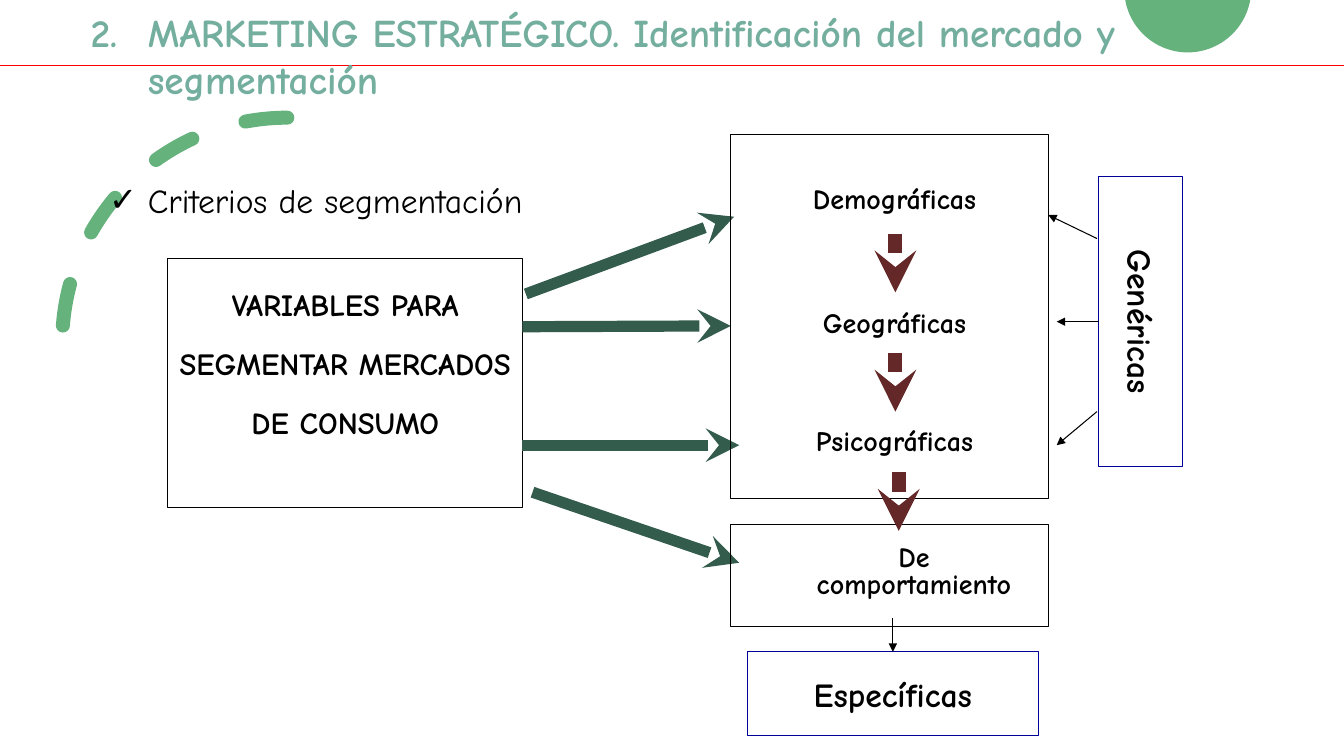
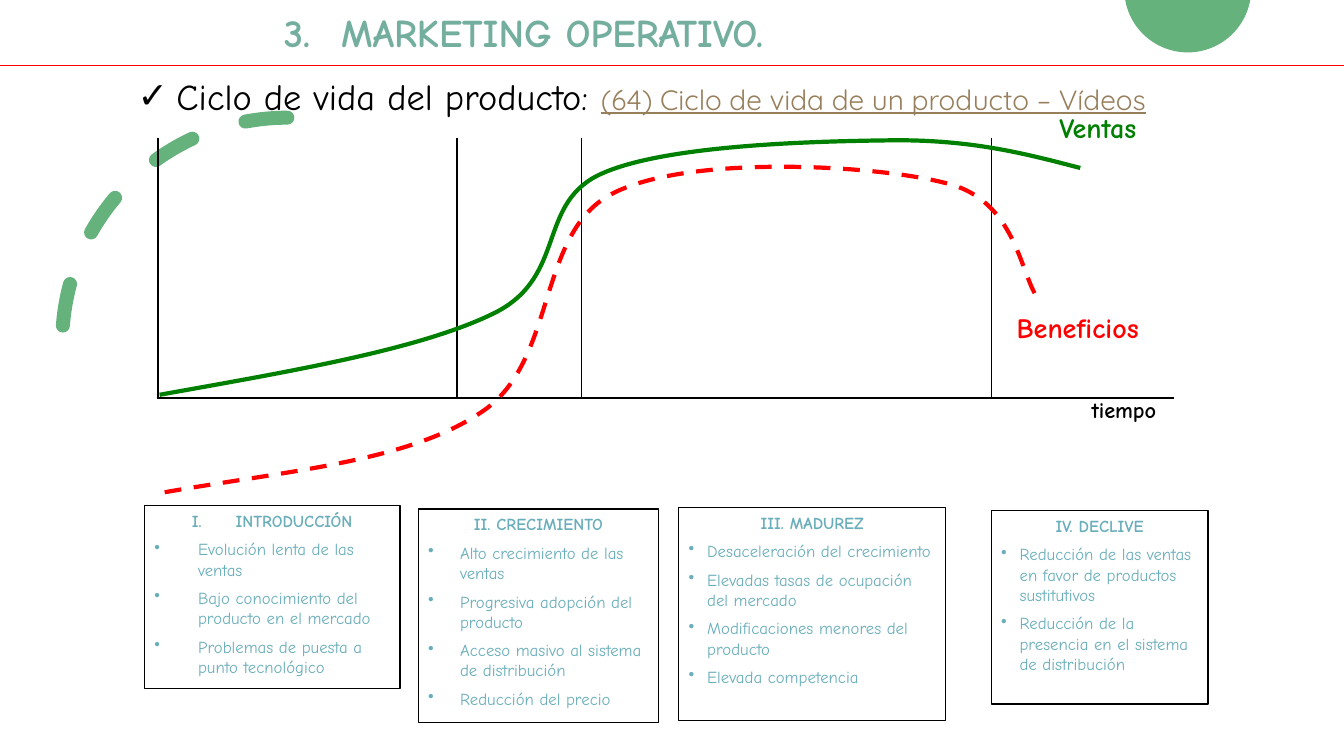
from math import atan2, cos, pi, sin

from pptx import Presentation
from pptx.dml.color import RGBColor
from pptx.enum.dml import MSO_LINE_DASH_STYLE as Dash
from pptx.enum.shapes import MSO_CONNECTOR, MSO_SHAPE
from pptx.enum.text import MSO_ANCHOR, MSO_AUTO_SIZE, PP_ALIGN
from pptx.oxml.ns import qn
from pptx.oxml.xmlchemy import OxmlElement
from pptx.util import Emu, Inches, Pt

# Every length is counted in cells of a square grid of 80 columns by 45 rows.
COLUMNS, ROWS = 80, 45
CELL = Inches(1) / 6

BLACK = RGBColor(0x00, 0x00, 0x00)
WHITE = RGBColor(0xFF, 0xFF, 0xFF)
RED = RGBColor(0xFF, 0x00, 0x00)
NAVY = RGBColor(0x00, 0x00, 0x99)
LEAF = RGBColor(0x65, 0xB2, 0x7D)
TITLE_GREEN = RGBColor(0x73, 0xAE, 0x9E)
ARROW_GREEN = RGBColor(0x33, 0x5C, 0x4D)
ARROW_BROWN = RGBColor(0x65, 0x28, 0x28)
SALES_GREEN = RGBColor(0x00, 0x80, 0x00)
STAGE_BLUE = RGBColor(0x69, 0xAE, 0xBA)
LINK_BROWN = RGBColor(0x98, 0x7F, 0x5C)

FONT = "Comic Neue"
LINK_FONT = "Quicksand"


def cells(count):
    return Emu(round(count * CELL))


def add_element(parent, tag, **attributes):
    element = OxmlElement(tag)
    for name, value in attributes.items():
        element.set(name, str(value))
    parent.append(element)
    return element


def add_run(paragraph, text, size, color, bold=False, font=FONT, underline=False):
    run = paragraph.add_run()
    run.text = text
    run.font.name = font
    run.font.size = Pt(size)
    run.font.bold = bold
    run.font.underline = underline
    run.font.color.rgb = color


def set_bullet(paragraph, margin, hang, tag, **attributes):
    properties = paragraph._p.get_or_add_pPr()
    properties.set("marL", str(cells(margin)))
    properties.set("indent", str(-cells(hang)))
    add_element(properties, tag, **attributes)


def set_frame(shape, anchor=MSO_ANCHOR.TOP):
    frame = shape.text_frame
    frame.word_wrap = True
    frame.auto_size = MSO_AUTO_SIZE.NONE
    frame.vertical_anchor = anchor
    return frame


def next_paragraph(frame, align=PP_ALIGN.LEFT, spacing=1.0, before=0):
    """Use the empty first paragraph of a frame, or add one below the others."""
    first = not frame.paragraphs[0].runs
    paragraph = frame.paragraphs[0] if first else frame.add_paragraph()
    paragraph.alignment = align
    paragraph.line_spacing = spacing
    paragraph.space_before = Pt(0 if first else before)
    return paragraph


def write_centred(shape, lines, size, color=BLACK, spacing=1.0, anchor=MSO_ANCHOR.TOP):
    frame = set_frame(shape, anchor)
    for line in lines:
        add_run(next_paragraph(frame, PP_ALIGN.CENTER, spacing), line, size, color, True)


def set_line(shape, color, width):
    shape.line.color.rgb = color
    shape.line.width = Pt(width)


def add_box(slide, area, line_color=BLACK, width=0.75, fill=None):
    box = slide.shapes.add_shape(MSO_SHAPE.RECTANGLE, *map(cells, area))
    box.shadow.inherit = False
    if fill is None:
        box.fill.background()
    else:
        box.fill.solid()
        box.fill.fore_color.rgb = fill
    set_line(box, line_color, width)
    return box


def add_label(slide, area, lines, size, color=BLACK, spacing=1.0):
    label = slide.shapes.add_textbox(*map(cells, area))
    write_centred(label, lines, size, color, spacing)


def add_line(slide, start, end, color, width, arrowhead=None):
    line = slide.shapes.add_connector(MSO_CONNECTOR.STRAIGHT, *map(cells, start + end))
    set_line(line, color, width)
    if arrowhead:
        add_element(line.line._get_or_add_ln(), "a:tailEnd", type=arrowhead)
    add_element(line._element.spPr, "a:effectLst")
    return line


def add_outline(slide, points, close):
    start, *others = [tuple(map(cells, point)) for point in points]
    builder = slide.shapes.build_freeform(*start)
    builder.add_line_segments(others, close=close)
    outline = builder.convert_to_shape()
    outline.shadow.inherit = False
    return outline


def add_curve(slide, points, color, dash=None):
    """Draw Bezier curves: a start, then two handles and an end for each piece."""
    curve = add_outline(slide, points, close=False)
    curve.fill.background()
    set_line(curve, color, 3)
    if dash:
        curve.line.dash_style = dash
    segments = list(curve._element.iter(qn("a:lnTo")))
    for first in range(0, len(segments), 3):
        bezier = OxmlElement("a:cubicBezTo")
        segments[first].addprevious(bezier)
        for segment in segments[first:first + 3]:
            bezier.append(segment[0])
            segment.getparent().remove(segment)


def add_half_disc(slide, centre, half_width, depth):
    """Draw the part of a disc that hangs below the top edge of the slide."""
    radius = (half_width ** 2 + depth ** 2) / (2 * depth)
    rise = radius - depth
    start = atan2(rise, half_width)
    angles = [start + (pi - 2 * start) * step / 60 for step in range(61)]
    points = [(centre + radius * cos(a), radius * sin(a) - rise) for a in angles]
    disc = add_outline(slide, points, close=True)
    disc.fill.solid()
    disc.fill.fore_color.rgb = LEAF
    disc.line.fill.background()
    return disc


def add_dashed_arc(slide, left, top, size):
    arc = slide.shapes.add_shape(MSO_SHAPE.ARC, *map(cells, (left, top, size, size)))
    arc.shadow.inherit = False
    arc.fill.background()
    set_line(arc, LEAF, 10)
    arc.line.dash_style = Dash.DASH
    arc.line._get_or_add_ln().set("cap", "rnd")
    arc.rotation = 180
    arc._element.spPr.xfrm.set("flipV", "1")
    return arc


def decorate_layout(layout, slide):
    """Draw the shared decoration on a slide, then move it to the layout."""
    decoration = [
        add_half_disc(slide, 70.7, 3.72, 3.12),
        add_dashed_arc(slide, 3.7, 7, 26.8),
        add_line(slide, (0, 3.9), (COLUMNS, 3.9), RED, 1.25),
    ]
    for number, shape in enumerate(decoration, start=100):
        shape._element.xpath(".//p:cNvPr")[0].set("id", str(number))
        layout.shapes._spTree.append(shape._element)


def place(shape, area):
    shape.left, shape.top, shape.width, shape.height = map(cells, area)


def write_title(slide, area, number, text):
    title = slide.shapes.title
    place(title, area)
    paragraph = next_paragraph(set_frame(title))
    set_bullet(paragraph, 3.4, 3.4, "a:buAutoNum", type="arabicPeriod", startAt=number)
    add_run(paragraph, text, 28, TITLE_GREEN, True)


def write_topic(slide, area, text, size):
    """Fill the body placeholder with a ticked topic and return its paragraph."""
    body = slide.placeholders[1]
    place(body, area)
    paragraph = next_paragraph(set_frame(body))
    set_bullet(paragraph, 5.3, 2.3, "a:buChar", char="✓")
    add_run(paragraph, text, size, BLACK)
    return paragraph


def add_stage(slide, area, heading, items, hang, numbered=False):
    frame = set_frame(add_box(slide, area, width=1, fill=WHITE))
    paragraph = next_paragraph(frame, PP_ALIGN.CENTER)
    if numbered:
        set_bullet(paragraph, hang, hang, "a:buAutoNum", type="romanUcPeriod")
    add_run(paragraph, heading, 12, STAGE_BLUE, True)
    for item in items:
        paragraph = next_paragraph(frame, before=6)
        set_bullet(paragraph, hang, hang, "a:buChar", char="•")
        add_run(paragraph, item, 12, STAGE_BLUE)


def set_borders(cell, **widths):
    """Draw the sides L, R, T and B that have a width; hide the others."""
    properties = cell._tc.get_or_add_tcPr()
    for side in "LRTB":
        width = widths.get(side, 0)
        border = add_element(properties, f"a:ln{side}", w=Pt(width))
        fill = add_element(border, "a:solidFill" if width else "a:noFill")
        if width:
            add_element(fill, "a:srgbClr", val=BLACK)


def add_axes_table(slide, left, top, widths, heights):
    area = map(cells, (left, top, sum(widths), sum(heights)))
    table = slide.shapes.add_table(len(heights), len(widths), *area).table
    table.first_row = table.horz_banding = False
    for column, width in zip(table.columns, widths):
        column.width = cells(width)
    last_row, last_column = len(heights) - 1, len(widths) - 1
    for i, height in enumerate(heights):
        table.rows[i].height = cells(height)
        for j in range(len(widths)):
            cell = table.cell(i, j)
            set_borders(cell, L=1 if j else 2.25, R=1 if j < last_column else 0,
                        B=2.25 if i == last_row else 0)
            cell.fill.background()


def build_segmentation(slide):
    write_title(slide, (4.8, 0.2, 73.3, 6.2), 2,
                "MARKETING ESTRATÉGICO. Identificación del mercado y segmentación")
    write_topic(slide, (2.9, 10.4, 31.7, 3), "Criterios de segmentación", 24)

    variables = add_box(slide, (10, 15.4, 21.1, 14.8))
    write_centred(variables, ["VARIABLES PARA SEGMENTAR MERCADOS", "DE CONSUMO"], 22, spacing=1.6)
    for start, end in [((31.3, 17.5), (43.7, 12.9)), ((31.1, 19.45), (43.5, 19.4)),
                       ((31.1, 26.5), (44, 26.5)), ((31.7, 29.3), (44, 33.5))]:
        add_line(slide, start, end, ARROW_GREEN, 8, "stealth")

    for top, height in [(8, 21.7), (31.2, 6.1)]:
        add_box(slide, (43.5, top, 18.9, height))
    for top, text in [(10.9, "Demográficas"), (18.3, "Geográficas"), (25.3, "Psicográficas")]:
        add_label(slide, (44.5, top, 17.5, 2.2), [text], 20, spacing=0.8)
    add_label(slide, (44.1, 32.2, 20.6, 3.8), ["De", "comportamiento"], 20, spacing=0.8)
    for column, top in [(53.3, 13.9), (53.3, 21), (53.5, 28.1)]:
        add_line(slide, (column, top), (column, top + 3.5), ARROW_BROWN, 10, "stealth")

    generic = add_box(slide, (65.4, 10.5, 5, 17.3), NAVY)
    write_centred(generic, ["Genéricas"], 24, anchor=MSO_ANCHOR.MIDDLE)
    generic.text_frame._txBody.bodyPr.set("vert", "vert")
    specific = add_box(slide, (44.5, 38.8, 17.3, 5), NAVY)
    write_centred(specific, ["Específicas"], 24, anchor=MSO_ANCHOR.MIDDLE)
    add_line(slide, (65.3, 14.2), (62.4, 12.8), BLACK, 0.75, "triangle")
    add_line(slide, (65.3, 24.5), (62.9, 26.5), BLACK, 0.75, "triangle")
    middle = add_line(slide, (65.4, 19.15), (62.9, 19.15), BLACK, 0.75, "triangle")
    middle.begin_connect(generic, 1)
    down = add_line(slide, (53.15, 36.8), (53.15, 38.8), BLACK, 0.75, "triangle")
    down.end_connect(specific, 0)


def build_life_cycle(slide):
    write_title(slide, (16.3, 0.2, 42.6, 3.4), 3, "MARKETING OPERATIVO.")
    topic = write_topic(slide, (4.6, 4.1, 73.2, 5.9), "Ciclo de vida del producto: ", 26)
    add_run(topic, "(64) Ciclo de vida de un producto – Vídeos", 20, LINK_BROWN,
            font=LINK_FONT, underline=True)

    add_axes_table(slide, 9.4, 8.2, [17.8, 7.4, 24.4, 10.9], [3.4, 6.6, 5.5])
    sales = [(9.5, 23.5), (17.3, 22.1), (25.1, 20.8), (29.5, 18.6), (33.8, 16.4),
             (31.9, 12), (35.9, 10.3), (39.8, 8.6), (48.7, 8.4), (53.4, 8.35),
             (58.1, 8.35), (61.2, 9.2), (64.3, 10)]
    profit = [(9.8, 29.3), (17.2, 28), (24.3, 27.5), (28.7, 24.5), (33.2, 21.5),
              (31.9, 13.8), (36.5, 11.5), (41, 9.2), (52.1, 9.8), (56.3, 10.9),
              (60.5, 11.9), (60.7, 16.3), (61.8, 17.8)]
    add_curve(slide, sales, SALES_GREEN)
    add_curve(slide, profit, RED, Dash.DASH)
    add_label(slide, (61.1, 6.3, 8.5, 2.6), ["Ventas"], 20, SALES_GREEN)
    add_label(slide, (58.8, 18.2, 10.7, 2.6), ["Beneficios"], 20, RED)
    add_label(slide, (62.5, 23.3, 8.8, 2.2), ["tiempo"], 16)

    add_stage(slide, (8.6, 30.1, 15.2, 10.9), "INTRODUCCIÓN", [
        "Evolución lenta de las ventas",
        "Bajo conocimiento del producto en el mercado",
        "Problemas de puesta a punto tecnológico"], 2.6, numbered=True)
    add_stage(slide, (24.9, 30.3, 14.3, 12.7), "II. CRECIMIENTO", [
        "Alto crecimiento de las ventas",
        "Progresiva adopción del producto",
        "Acceso masivo al sistema de distribución",
        "Reducción del precio"], 1.9)
    add_stage(slide, (40.4, 30.2, 15.9, 12.7), "III. MADUREZ", [
        "Desaceleración del crecimiento",
        "Elevadas tasas de ocupación del mercado",
        "Modificaciones menores del producto",
        "Elevada competencia"], 1.1)
    add_stage(slide, (59, 30.4, 12.9, 11.5), "IV. DECLIVE", [
        "Reducción de las ventas en favor de productos sustitutivos",
        "Reducción de la presencia en el sistema de distribución"], 1.1)


def main():
    presentation = Presentation()
    presentation.slide_width = cells(COLUMNS)
    presentation.slide_height = cells(ROWS)
    layout = presentation.slide_layouts[1]
    segmentation, life_cycle = (presentation.slides.add_slide(layout) for _ in range(2))
    decorate_layout(layout, segmentation)
    build_segmentation(segmentation)
    build_life_cycle(life_cycle)
    presentation.save("out.pptx")


if __name__ == "__main__":
    main()
